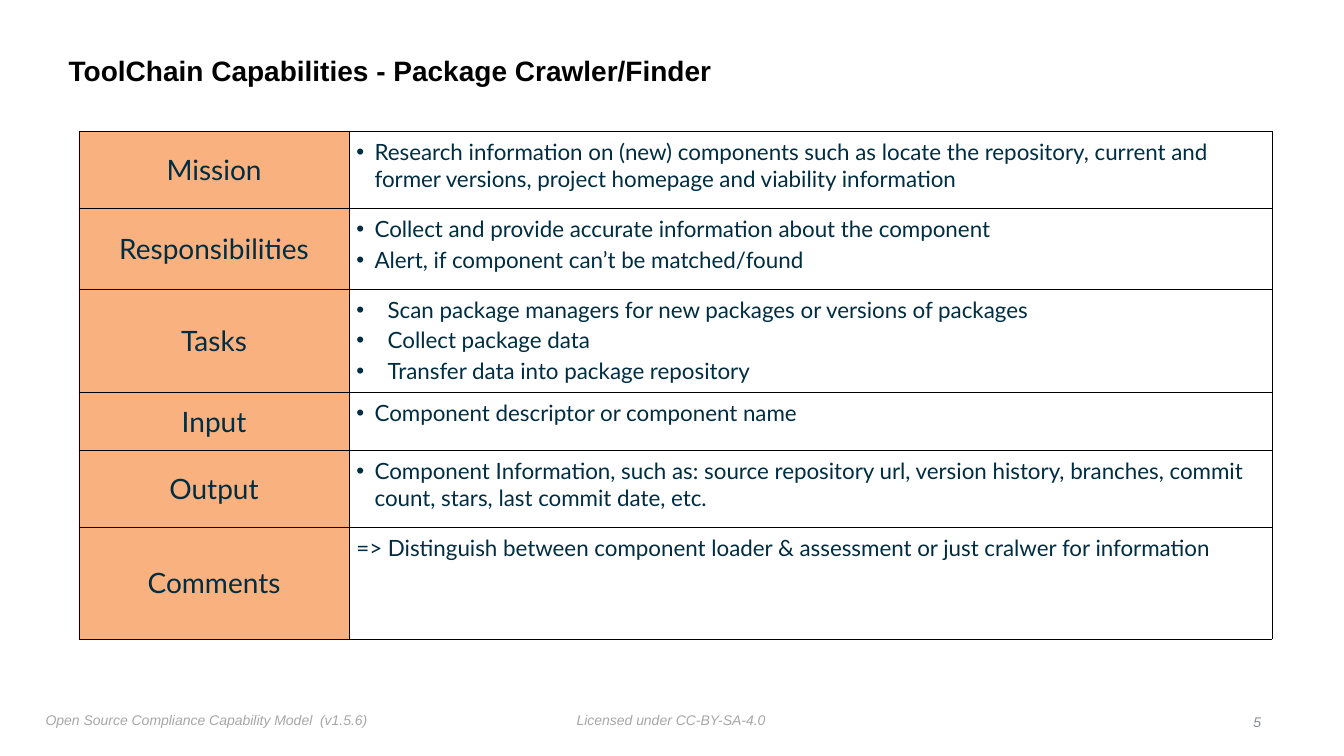
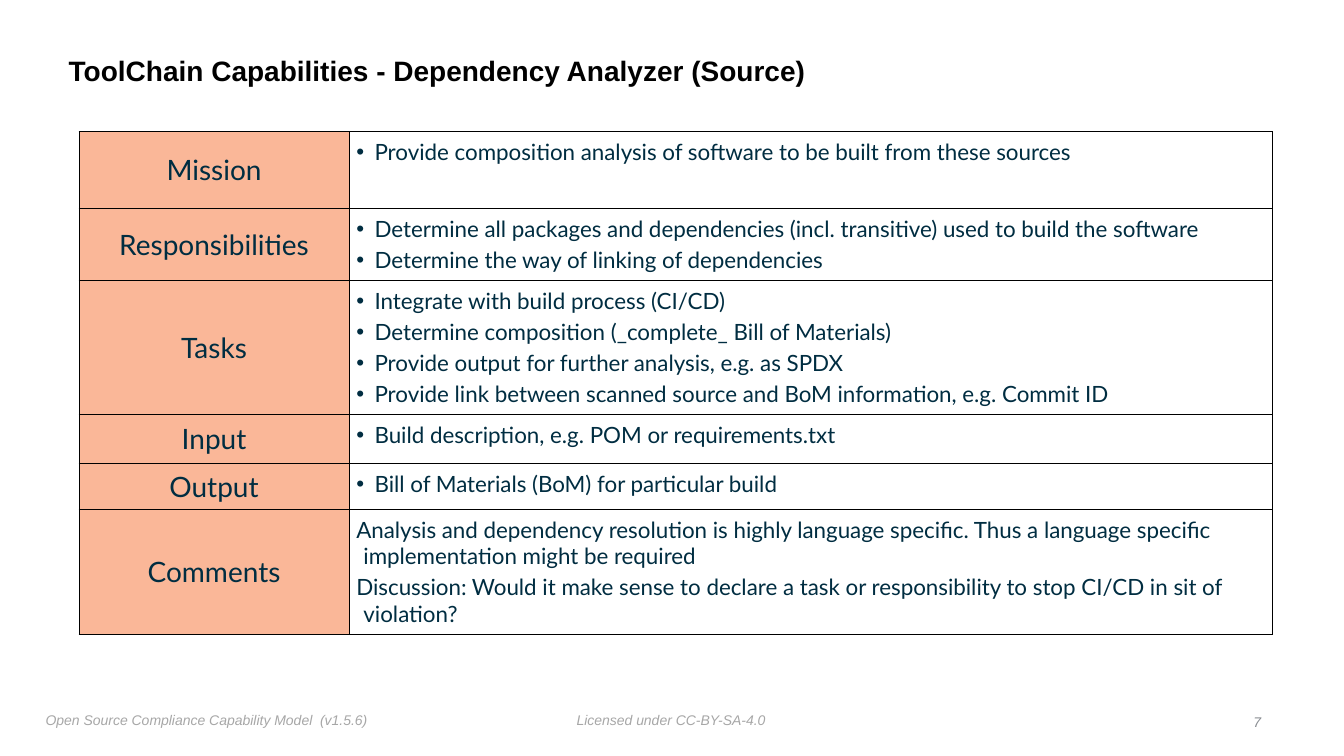
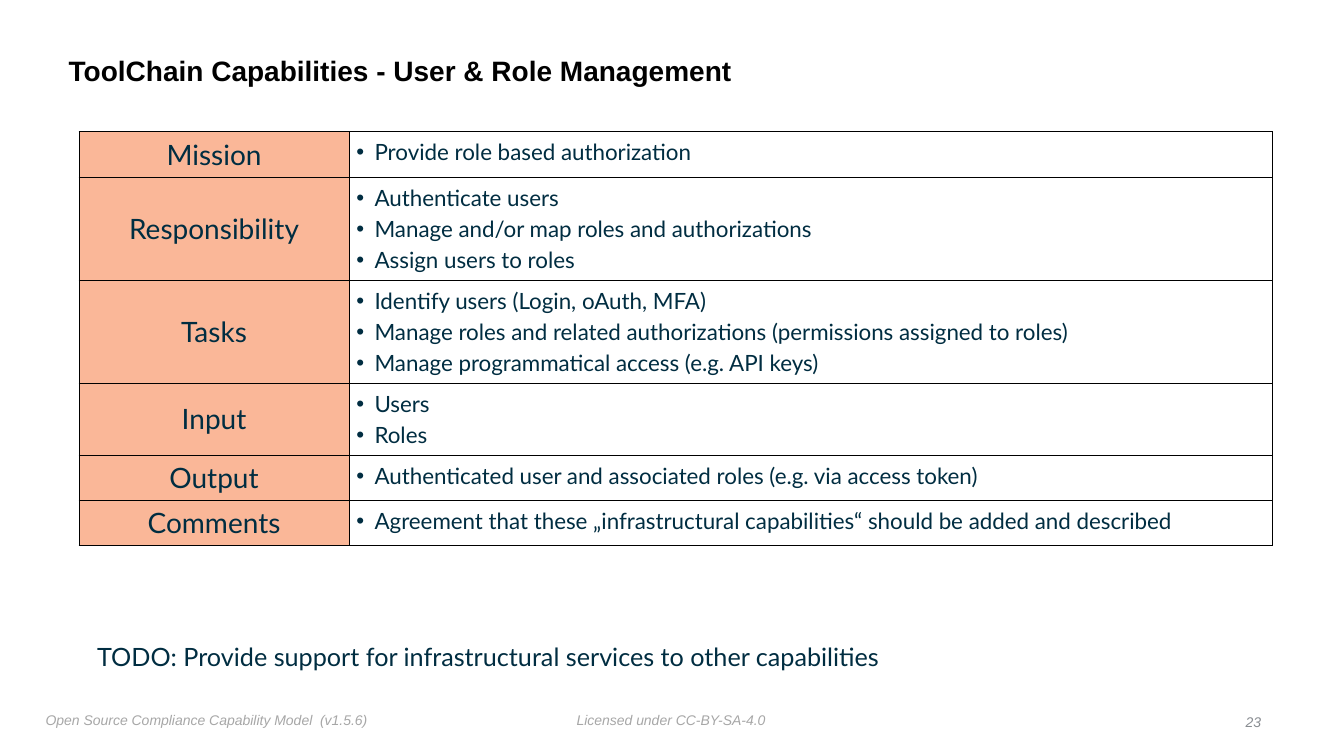
from lxml import etree
from pptx import Presentation
from pptx.dml.color import RGBColor
from pptx.enum import text as t
from pptx.oxml import ns
from pptx.util import Cm, Pt

# Colours
BLACK = RGBColor(0x00, 0x00, 0x00)
NAVY = RGBColor(0x00, 0x2D, 0x41)
GREY = RGBColor(0xA7, 0xA7, 0xA7)
NUMBER_GREY = RGBColor(0x88, 0x8C, 0x91)
ORANGE = RGBColor(0xF6, 0x65, 0x03)
PEACH = RGBColor(0xFA, 0xB7, 0x98)

# Text formats
TITLE = {"name": "Arial", "size": Pt(20), "bold": True}
FOOTER = {"name": "Arial", "size": Pt(10), "italic": True}
LABEL = {"name": "Lato", "size": Pt(20)}
DETAIL = {"name": "Lato", "size": Pt(16)}
NOTE = {"name": "Lato", "size": Pt(18)}

# Hanging indents of the detail cells
BULLET, WIDE_BULLET, PLAIN = Cm(0.46), Cm(0.79), Cm(0.18)

INSET = Cm(0.13)
MARGINS = ("margin_left", "margin_top", "margin_right", "margin_bottom")
COLUMN_WIDTHS = (Cm(6.81), Cm(23.26))

# Content: label, row height in cm, indent, paragraphs
CRAWLER = [
    ("Mission", 1.93, BULLET, [
        "Research information on (new) components such as locate the repository, "
        "current and former versions, project homepage and viability information"]),
    ("Responsibilities", 2.03, BULLET, [
        "Collect and provide accurate information about the component",
        "Alert, if component can’t be matched/found"]),
    ("Tasks", 2.6, WIDE_BULLET, [
        "Scan package managers for new packages or versions of packages",
        "Collect package data",
        "Transfer data into package repository"]),
    ("Input", 1.47, BULLET, ["Component descriptor or component name"]),
    ("Output", 1.93, BULLET, [
        "Component Information, such as: source repository url, version history, "
        "branches, commit count, stars, last commit date, etc."]),
    ("Comments", 2.82, PLAIN, [
        "=> Distinguish between component loader & assessment or just cralwer "
        "for information"]),
]
ANALYZER = [
    ("Mission", 1.93, BULLET, [
        "Provide composition analysis of software to be built from these sources"]),
    ("Responsibilities", 1.8, BULLET, [
        "Determine all packages and dependencies (incl. transitive) used to build "
        "the software",
        "Determine the way of linking of dependencies"]),
    ("Tasks", 3.38, BULLET, [
        "Integrate with build process (CI/CD)",
        "Determine composition (_complete_ Bill of Materials)",
        "Provide output for further analysis, e.g. as SPDX",
        "Provide link between scanned source and BoM information, e.g. Commit ID"]),
    ("Input", 1.24, BULLET, ["Build description, e.g. POM or requirements.txt"]),
    ("Output", 1.14, BULLET, ["Bill of Materials (BoM) for particular build"]),
    ("Comments", 3.15, PLAIN, [
        "Analysis and dependency resolution is highly language specific. Thus a "
        "language specific implementation might be required",
        "Discussion: Would it make sense to declare a task or responsibility to "
        "stop CI/CD in sit of violation?"]),
]
ROLES = [
    ("Mission", 1.14, BULLET, ["Provide role based authorization"]),
    ("Responsibility", 2.58, BULLET, [
        "Authenticate users",
        "Manage and/or map roles and authorizations",
        "Assign users to roles"]),
    ("Tasks", 2.58, BULLET, [
        "Identify users (Login, oAuth, MFA)",
        "Manage roles and related authorizations (permissions assigned to roles)",
        "Manage programmatical access (e.g. API keys)"]),
    ("Input", 1.8, BULLET, ["Users", "Roles"]),
    ("Output", 1.14, BULLET, [
        "Authenticated user and associated roles (e.g. via access token)"]),
    ("Comments", 1.14, BULLET, [
        "Agreement that these „infrastructural capabilities“ should be added and "
        "described"]),
]
# Topic, slide number, rows, label colour, label opacity in percent
CAPABILITIES = [
    ("Package Crawler/Finder", "5", CRAWLER, ORANGE, 50),
    ("Dependency Analyzer (Source)", "7", ANALYZER, PEACH, 100),
    ("User & Role Management", "23", ROLES, PEACH, 100),
]


def set_all(target, values):
    for key, value in values.items():
        setattr(target, key, value)


def write(paragraph, words, font, color):
    run = paragraph.add_run()
    run.text = words
    set_all(run.font, font)
    run.font.color.rgb = color


def add_child(parent, tag, **attributes):
    return etree.SubElement(parent, ns.qn(tag), attributes)


# Text outside the table
def add_line(slide, place, words, font, color, align=t.PP_ALIGN.LEFT):
    box = slide.shapes.add_textbox(*(Cm(length) for length in place))
    frame = box.text_frame
    set_all(frame, dict.fromkeys(MARGINS, INSET))
    set_all(frame, {"word_wrap": False, "auto_size": t.MSO_AUTO_SIZE.SHAPE_TO_FIT_TEXT})
    frame.paragraphs[0].alignment = align
    write(frame.paragraphs[0], words, font, color)
    return box


def add_title(slide, words):
    frame = slide.shapes.title.text_frame
    set_all(frame, dict.fromkeys(MARGINS, INSET))
    set_all(frame, {"vertical_anchor": t.MSO_ANCHOR.MIDDLE, "word_wrap": True,
                    "auto_size": t.MSO_AUTO_SIZE.NONE})
    set_all(frame.paragraphs[0], {"alignment": t.PP_ALIGN.LEFT, "line_spacing": 0.9})
    write(frame.paragraphs[0], words, TITLE, BLACK)


# Table cells
def add_borders(cell):
    properties = cell._tc.get_or_add_tcPr()
    for side in "LRTB":
        border = add_child(properties, f"a:ln{side}", w=str(Pt(0.5)))
        fill = add_child(border, "a:solidFill")
        add_child(fill, "a:srgbClr", val=str(BLACK))


def fill_label(cell, words, color, opacity):
    add_borders(cell)
    set_all(cell, dict.fromkeys(MARGINS, 0))
    cell.vertical_anchor = t.MSO_ANCHOR.MIDDLE
    cell.fill.solid()
    cell.fill.fore_color.rgb = color
    if opacity < 100:
        tint = cell._tc.tcPr.find(".//" + ns.qn("a:solidFill") + "[last()]")
        tint = cell._tc.tcPr.find(ns.qn("a:solidFill"))
        add_child(tint[0], "a:alpha", val=str(opacity * 1000))
    paragraph = cell.text_frame.paragraphs[0]
    paragraph.alignment = t.PP_ALIGN.CENTER
    write(paragraph, words, LABEL, NAVY)


def fill_details(cell, lines, indent):
    add_borders(cell)
    set_all(cell, dict.fromkeys(MARGINS, Cm(0.18)))
    cell.fill.background()
    frame = cell.text_frame
    for index, words in enumerate(lines):
        paragraph = frame.add_paragraph() if index else frame.paragraphs[0]
        paragraph.space_before = Pt(3)
        properties = paragraph._p.get_or_add_pPr()
        properties.set("marL", str(indent))
        properties.set("indent", str(-indent))
        if indent != PLAIN:
            add_child(properties, "a:buFont", typeface="Arial")
            add_child(properties, "a:buChar", char="•")
        write(paragraph, words, DETAIL, NAVY)


def add_capability_table(slide, rows, color, opacity):
    height = Cm(sum(row[1] for row in rows))
    table = slide.shapes.add_table(len(rows), 2, Cm(1.99), Cm(3.32),
                                   sum(COLUMN_WIDTHS), height).table
    set_all(table, {"first_row": False, "horz_banding": False})
    for column, width in zip(table.columns, COLUMN_WIDTHS):
        column.width = width
    for index, (label, row_height, indent, lines) in enumerate(rows):
        table.rows[index].height = Cm(row_height)
        fill_label(table.cell(index, 0), label, color, opacity)
        fill_details(table.cell(index, 1), lines, indent)


# Shared layout: title place and footers
def prepare_layout(layout, slide):
    set_all(layout.placeholders[0], {"left": Cm(1.6), "top": Cm(0.99),
                                     "width": Cm(27.3), "height": Cm(1.65)})
    footers = [((14.4, 17.8, 5.06, 0.65), "Licensed under CC-BY-SA-4.0"),
               ((1.02, 17.8, 8.44, 0.65),
                "Open Source Compliance Capability Model  (v1.5.6)")]
    for place, words in footers:
        footer = add_line(slide, place, words, FOOTER, GREY)
        layout.shapes.element.append(footer.element)


def main():
    deck = Presentation()
    set_all(deck, {"slide_width": Cm(33.87), "slide_height": Cm(19.05)})
    layout = deck.slide_layouts.get_by_name("Title Only")

    for topic, number, rows, color, opacity in CAPABILITIES:
        slide = deck.slides.add_slide(layout)
        if len(deck.slides) == 1:
            prepare_layout(layout, slide)
        add_title(slide, f"ToolChain Capabilities - {topic}")
        add_capability_table(slide, rows, color, opacity)
        width = 0.28 + 0.2 * len(number)
        add_line(slide, (31.91 - width, 17.85, width, 0.65), number,
                 FOOTER, NUMBER_GREY, t.PP_ALIGN.RIGHT)

    # Open point on the last slide
    add_line(slide, (2.32, 16.03, 20.42, 1.02),
             "TODO: Provide support for infrastructural services to other capabilities",
             NOTE, NAVY)
    deck.save("out.pptx")


if __name__ == "__main__":
    main()
